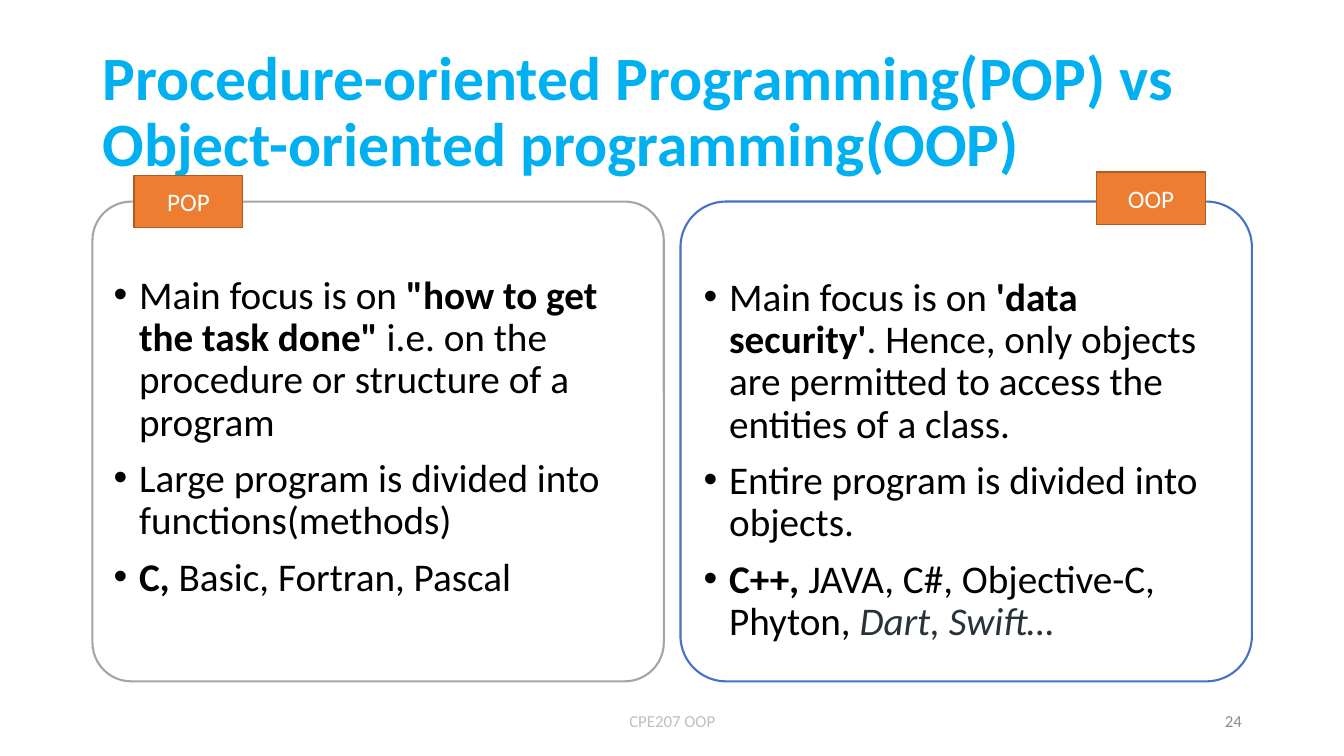
from dataclasses import dataclass

from lxml.etree import SubElement
from pptx import Presentation
from pptx.dml.color import RGBColor
from pptx.enum.shapes import MSO_SHAPE
from pptx.enum.text import MSO_ANCHOR, MSO_AUTO_SIZE, PP_ALIGN
from pptx.oxml.ns import qn
from pptx.util import Cm, Pt

FONT = "Calibri"
COLOURS = {
    "title": "00B0F0",
    "body": "000000",
    "example": "273239",
    "pop_border": "A5A5A5",
    "oop_border": "4472C4",
    "tag": "ED7D31",
    "tag_border": "AF5C24",
    "tag_text": "FFFFFF",
    "footer": "BFBFBF",
    "number": "8C8C8C",
}


@dataclass(frozen=True)
class Span:
    text: str
    bold: bool = False
    italic: bool = False
    colour: str = "body"


@dataclass(frozen=True)
class Panel:
    left: float
    corner: float
    border: str
    tag: str
    tag_left: float
    tag_top: float
    bullets: list[list[Span]]


@dataclass(frozen=True)
class FooterText:
    text: str
    left: float
    width: float
    align: PP_ALIGN
    colour: str


PANEL_TOP, PANEL_WIDTH, PANEL_HEIGHT = 5.08, 14.4, 12.09
TAG_WIDTH, TAG_HEIGHT = 2.74, 1.32
FOOTER_TOP, FOOTER_HEIGHT = 17.65, 1.02

PANELS = [
    Panel(2.33, 0.081, "pop_border", "POP", 3.38, 4.42, [
        [Span("Main focus is on "), Span('"how to get the task done" ', bold=True),
         Span("i.e. on the procedure or structure of a program")],
        [Span("Large program is divided into functions(methods)")],
        [Span("C, ", bold=True), Span("Basic, Fortran, Pascal")],
    ]),
    Panel(17.15, 0.095, "oop_border", "OOP", 27.64, 4.34, [
        [Span("Main focus is on "), Span("'data security'", bold=True),
         Span(". Hence, only objects are permitted to access the entities of a class.")],
        [Span("Entire program is divided into objects.")],
        [Span("C++, ", bold=True), Span("JAVA, C#, Objective-C, Phyton, "),
         Span("Dart, Swift…", italic=True, colour="example")],
    ]),
]

FOOTERS = [
    FooterText("CPE207 OOP", 11.23, 11.43, PP_ALIGN.CENTER, "footer"),
    FooterText("24", 23.93, 7.62, PP_ALIGN.RIGHT, "number"),
]


def colour(name: str) -> RGBColor:
    return RGBColor.from_string(COLOURS[name])


def add_span(para, span: Span, size: float) -> None:
    run = para.add_run()
    run.text = span.text
    run.font.name = FONT
    run.font.size = Pt(size)
    run.font.bold = span.bold
    run.font.italic = span.italic
    run.font.color.rgb = colour(span.colour)


def add_line(box, span: Span, size: float, align: PP_ALIGN):
    """Put one vertically centred line of text in a box."""
    frame = box.text_frame
    frame.word_wrap = True
    frame.auto_size = MSO_AUTO_SIZE.NONE
    frame.vertical_anchor = MSO_ANCHOR.MIDDLE
    para = frame.paragraphs[0]
    para.alignment = align
    add_span(para, span, size)
    return para


def make_bullet(para) -> None:
    properties = para._p.get_or_add_pPr()
    properties.set("marL", str(Cm(0.64)))
    properties.set("indent", str(-Cm(0.64)))
    SubElement(properties, qn("a:buFont")).set("typeface", "Arial")
    SubElement(properties, qn("a:buChar")).set("char", "•")


def add_title(page) -> None:
    title = page.shapes.title
    title.left, title.top = Cm(2.33), Cm(1.02)
    title.width, title.height = Cm(29.21), Cm(3.68)
    text = "Procedure-oriented Programming(POP) vs Object-oriented programming(OOP)"
    para = add_line(title, Span(text, bold=True, colour="title"), 44, PP_ALIGN.LEFT)
    para.line_spacing = 0.9


def add_panel(page, panel: Panel) -> None:
    box = page.shapes.add_shape(
        MSO_SHAPE.ROUNDED_RECTANGLE,
        Cm(panel.left), Cm(PANEL_TOP), Cm(PANEL_WIDTH), Cm(PANEL_HEIGHT))
    box.adjustments[0] = panel.corner
    box.shadow.inherit = False
    box.fill.background()
    box.line.color.rgb = colour(panel.border)
    box.line.width = Pt(1.5)

    frame = box.text_frame
    frame.word_wrap = True
    frame.vertical_anchor = MSO_ANCHOR.TOP
    frame.margin_top = Cm(1.57)
    for index, spans in enumerate(panel.bullets):
        para = frame.add_paragraph() if index else frame.paragraphs[0]
        make_bullet(para)
        para.alignment = PP_ALIGN.LEFT
        para.line_spacing = 0.9
        para.space_before = Pt(10 if index else 0)
        para.font.size = Pt(28)
        para.font.color.rgb = colour("body")
        for span in spans:
            add_span(para, span, 28)


def add_tag(page, panel: Panel) -> None:
    tag = page.shapes.add_shape(
        MSO_SHAPE.RECTANGLE,
        Cm(panel.tag_left), Cm(panel.tag_top), Cm(TAG_WIDTH), Cm(TAG_HEIGHT))
    tag.shadow.inherit = False
    tag.fill.solid()
    tag.fill.fore_color.rgb = colour("tag")
    tag.line.color.rgb = colour("tag_border")
    tag.line.width = Pt(1)
    add_line(tag, Span(panel.tag, colour="tag_text"), 18, PP_ALIGN.CENTER)


def add_footer(page, footer: FooterText) -> None:
    box = page.shapes.add_textbox(
        Cm(footer.left), Cm(FOOTER_TOP), Cm(footer.width), Cm(FOOTER_HEIGHT))
    add_line(box, Span(footer.text, colour=footer.colour), 12, footer.align)


def main() -> None:
    deck = Presentation()
    deck.slide_width, deck.slide_height = Cm(33.87), Cm(19.05)
    page = deck.slides.add_slide(deck.slide_layouts[5])

    # Title
    add_title(page)

    # Comparison panels, then the tags that overlap their borders
    for panel in PANELS:
        add_panel(page, panel)
    for panel in PANELS:
        add_tag(page, panel)

    # Footer and page number
    for footer in FOOTERS:
        add_footer(page, footer)

    deck.save("out.pptx")


if __name__ == "__main__":
    main()
